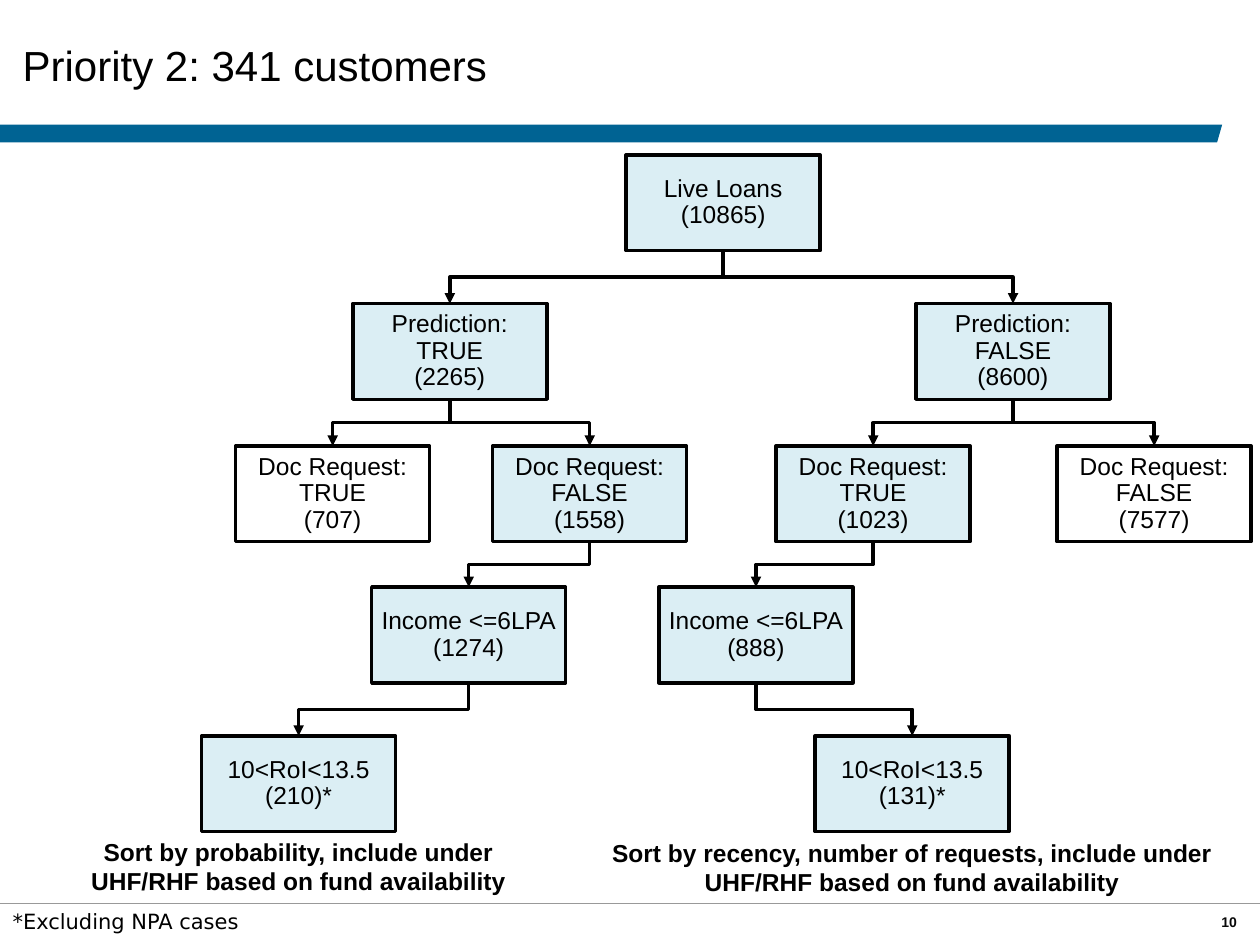
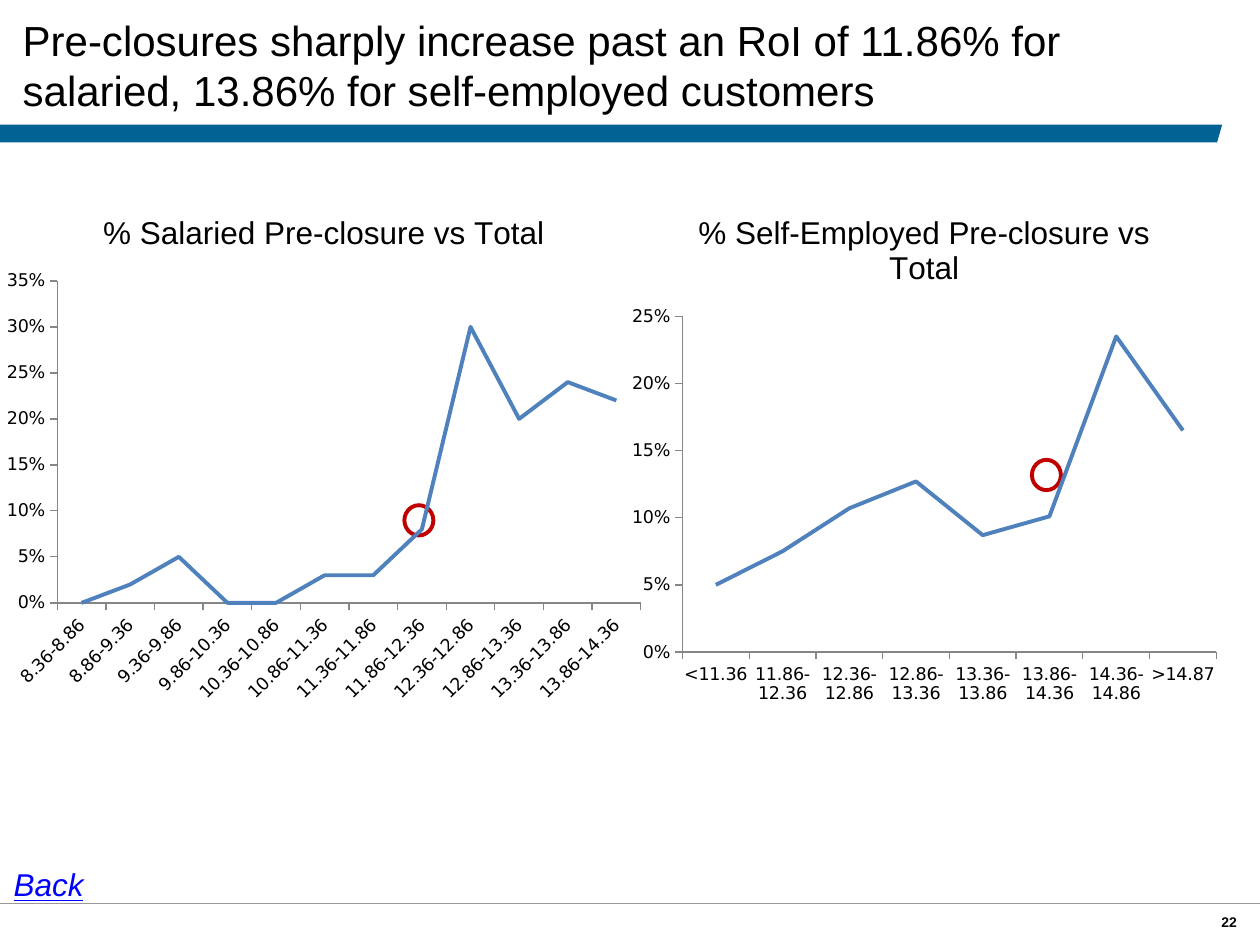
from dataclasses import dataclass
from pptx import Presentation
from pptx.chart.data import CategoryChartData
from pptx.dml.color import RGBColor
from pptx.enum.chart import XL_CHART_TYPE as Plot, XL_TICK_MARK as Tick
from pptx.enum.shapes import MSO_CONNECTOR as Link, MSO_SHAPE as Form
from pptx.enum.text import MSO_ANCHOR as Anchor, MSO_AUTO_SIZE as Fit, PP_ALIGN as Align
from pptx.oxml import parse_xml
from pptx.oxml.ns import nsdecls, qn
from pptx.util import Inches, Pt


@dataclass(frozen=True)
class Theme:
    band: str = "006393"
    rule: str = "999999"
    page: str = "080808"
    ink: str = "000000"
    pale: str = "DBEEF4"
    white: str = "FFFFFF"
    ring: str = "C00000"
    curve: str = "4F81BD"
    axis: str = "868686"
    link: str = "0000FF"
    font: str = "Arial"
    plain: str = "DejaVu Sans"
    head: int = 24
    sub: int = 18
    body: int = 14
    note: int = 12
    tick: int = 10
    foot: int = 8


THEME = Theme()

TREE = {
    "title": "Priority 2: 341 customers",
    "page": "10",
    "tops": [1.23, 2.41, 3.54, 4.66, 5.84],
    "boxes": [
        ("all", None, 0, 5.74, "Live Loans\n(10865)", True),
        ("yes", "all", 1, 3.57, "Prediction: TRUE\n(2265)", True),
        ("no", "all", 1, 8.04, "Prediction: FALSE\n(8600)", True),
        ("yes doc", "yes", 2, 2.64, "Doc Request: TRUE\n(707)", False),
        ("yes bare", "yes", 2, 4.68, "Doc Request: FALSE\n(1558)", True),
        ("no doc", "no", 2, 6.93, "Doc Request: TRUE\n(1023)", True),
        ("no bare", "no", 2, 9.16, "Doc Request: FALSE\n(7577)", False),
        ("yes pay", "yes bare", 3, 3.72, "Income <=6LPA\n(1274)", True),
        ("no pay", "no doc", 3, 6, "Income <=6LPA\n(888)", True),
        ("yes rate", "yes pay", 4, 2.37, "10<RoI<13.5\n(210)*", True),
        ("no rate", "no pay", 4, 7.24, "10<RoI<13.5\n(131)*", True),
    ],
    "sorts": [
        ("Sort by probability, include under UHF/RHF based on fund availability",
         (0.64, 6.6, 3.46, 0.55)),
        ("Sort by recency, number of requests, include under UHF/RHF based on fund availability",
         (4.76, 6.61, 4.96, 0.55)),
    ],
    "note": "*Excluding NPA cases",
}

RATES = {
    "title": "Pre-closures sharply increase past an RoI of 11.86% for salaried, "
             "13.86% for self-employed customers",
    "page": "22",
    "rings": [(3.21, 4.01), (8.19, 3.65)],
    "charts": [
        ("% Salaried Pre-closure vs Total", (-0.05, 1.5, 5.24, 4.16), 0.35, [
            ("8.36-8.86", 0), ("8.86-9.36", 0.02), ("9.36-9.86", 0.05),
            ("9.86-10.36", 0), ("10.36-10.86", 0), ("10.86-11.36", 0.03),
            ("11.36-11.86", 0.03), ("11.86-12.36", 0.08), ("12.36-12.86", 0.3),
            ("12.86-13.36", 0.2), ("13.36-13.86", 0.24), ("13.86-14.36", 0.22)]),
        ("% Self-Employed Pre-closure vs Total", (4.92, 1.5, 4.83, 4.17), 0.25, [
            ("<11.36", 0.05), ("11.86-12.36", 0.075), ("12.36-12.86", 0.107),
            ("12.86-13.36", 0.127), ("13.36-13.86", 0.087), ("13.86-14.36", 0.101),
            ("14.36-14.86", 0.235), (">14.87", 0.165)]),
    ],
    "back": "Back",
}

BOX = (1.54, 0.76)
RING = (0.23, 0.24)


def area(at):
    return [Inches(n) for n in at]


def tint(code):
    return RGBColor.from_string(code)


def style(font, size, color=THEME.ink, name=THEME.font, bold=False):
    font.name, font.size, font.bold = name, Pt(size), bold
    font.color.rgb = tint(color)


def write(shape, text, size, align=Align.LEFT, anchor=Anchor.TOP, inset=(0, 0, 0, 0),
          wrap=True, gap=None, **look):
    frame = shape.text_frame
    frame.text = text
    frame.auto_size = Fit.NONE
    frame.word_wrap = wrap
    frame.vertical_anchor = anchor
    (frame.margin_left, frame.margin_top,
     frame.margin_right, frame.margin_bottom) = area(inset)
    for para in frame.paragraphs:
        para.alignment = align
        if gap:
            para.line_spacing = gap
        for run in para.runs:
            style(run.font, size, **look)
    return frame


def label(slide, at, text, size, **look):
    return write(slide.shapes.add_textbox(*area(at)), text, size, **look)


def stroke(line, color, width):
    line.color.rgb = tint(color)
    line.width = Pt(width)


def flat(link):
    link._element.spPr.append(parse_xml(f"<a:effectLst {nsdecls('a')}/>"))


def start(deck, data):
    slide = deck.slides.add_slide(deck.slide_layouts[5])
    title = slide.shapes.title
    title.left, title.top, title.width, title.height = area((0.18, 0.06, 9.49, 0.91))
    write(title, data["title"], THEME.head, anchor=Anchor.MIDDLE, inset=(0, 0, 0.07, 0))

    path = slide.shapes.build_freeform(0, Inches(0.99))
    path.add_line_segments([area(p) for p in ((9.7, 0.99), (9.66, 1.13), (0, 1.13))])
    band = path.convert_to_shape()
    band.shadow.inherit = False
    band.fill.solid()
    band.fill.fore_color.rgb = tint(THEME.band)
    band.line.fill.background()

    rule = slide.shapes.add_connector(Link.STRAIGHT, *area((0, 7.17, 10, 7.17)))
    stroke(rule.line, THEME.rule, 1)
    flat(rule)
    label(slide, (9.59, 7.27, 0.33, 0.09), data["page"], THEME.foot, align=Align.CENTER,
          anchor=Anchor.MIDDLE, wrap=False, color=THEME.page, bold=True)
    return slide


def add_box(slide, mid, top, text, kept):
    wide, high = BOX
    box = slide.shapes.add_shape(Form.RECTANGLE, *area((mid - wide / 2, top, wide, high)))
    box.shadow.inherit = False
    box.fill.solid()
    box.fill.fore_color.rgb = tint(THEME.pale if kept else THEME.white)
    stroke(box.line, THEME.ink, 2)
    write(box, text, THEME.body, align=Align.CENTER, anchor=Anchor.MIDDLE,
          inset=(0.05,) * 4, gap=0.9)
    return box


def join(slide, upper, lower):
    x1, y1 = upper.left + upper.width // 2, upper.top + upper.height
    x2, y2 = lower.left + lower.width // 2, lower.top
    link = slide.shapes.add_connector(Link.ELBOW, x1, y1, x2, y2)
    link.begin_connect(upper, 2)
    link.end_connect(lower, 0)
    drop, side = y2 - y1, abs(x2 - x1)
    link.left, link.top = (x1 + x2 - drop) // 2, (y1 + y2 - side) // 2
    link.width, link.height = drop, side
    turn = link._element.spPr.find(qn("a:xfrm"))
    turn.flipH, turn.flipV = x2 > x1, False
    turn.rot = 270 if x2 > x1 else 90
    stroke(link.line, THEME.ink, 2)
    link.line._get_or_add_ln().append(
        parse_xml(f'<a:tailEnd {nsdecls("a")} type="triangle"/>'))
    flat(link)


def draw_tree(deck):
    slide = start(deck, TREE)
    boxes = {}
    for key, root, row, mid, text, kept in TREE["boxes"]:
        boxes[key] = add_box(slide, mid, TREE["tops"][row], text, kept)
        if root:
            join(slide, boxes[root], boxes[key])
    pad = (0.04,) * 4
    for text, at in TREE["sorts"]:
        label(slide, at, text, THEME.body, align=Align.CENTER, inset=pad, bold=True)
    label(slide, (0.06, 7.17, 1.92, 0.28), TREE["note"], THEME.note, inset=pad,
          wrap=False, name=THEME.plain)


def add_curve(slide, title, at, peak, points):
    data = CategoryChartData(number_format="0%")
    data.categories = [name for name, _ in points]
    data.add_series("Series 1", [value for _, value in points])
    chart = slide.shapes.add_chart(Plot.LINE, *area(at), data).chart
    style(chart.font, THEME.tick, name=THEME.plain)
    chart.has_legend = False
    chart.has_title = True
    head = chart.chart_title
    head.include_in_layout = False
    head.text_frame.text = title
    style(head.text_frame.paragraphs[0].runs[0].font, THEME.sub)
    for axis in (chart.category_axis, chart.value_axis):
        axis.has_major_gridlines = False
        axis.major_tick_mark, axis.minor_tick_mark = Tick.OUTSIDE, Tick.NONE
        stroke(axis.format.line, THEME.axis, 0.75)
    scale = chart.value_axis
    scale.minimum_scale, scale.maximum_scale, scale.major_unit = 0, peak, 0.05
    scale.tick_labels.number_format = "0%"
    scale.tick_labels.number_format_is_linked = False
    chart.plots[0].vary_by_categories = False
    curve = chart.plots[0].series[0]
    curve.smooth = False
    stroke(curve.format.line, THEME.curve, 2.25)
    chart._chartSpace.find(qn("c:chart")).addnext(parse_xml(
        f'<c:spPr {nsdecls("c", "a")}><a:noFill/><a:ln><a:noFill/></a:ln></c:spPr>'))


def draw_rates(deck):
    slide = start(deck, RATES)
    for spot in RATES["rings"]:
        ring = slide.shapes.add_shape(Form.OVAL, *area(spot + RING))
        ring.shadow.inherit = False
        ring.fill.background()
        stroke(ring.line, THEME.ring, 2.25)
    for chart in RATES["charts"]:
        add_curve(slide, *chart)
    back = label(slide, (0.01, 6.82, 0.76, 0.4), RATES["back"], THEME.sub,
                 inset=(0.1, 0.05, 0.1, 0.05), wrap=False, color=THEME.link)
    font = back.paragraphs[0].runs[0].font
    font.italic = font.underline = True


def main():
    deck = Presentation()
    deck.slide_width, deck.slide_height = area((10, 7.5))
    draw_tree(deck)
    draw_rates(deck)
    deck.save("out.pptx")


if __name__ == "__main__":
    main()
